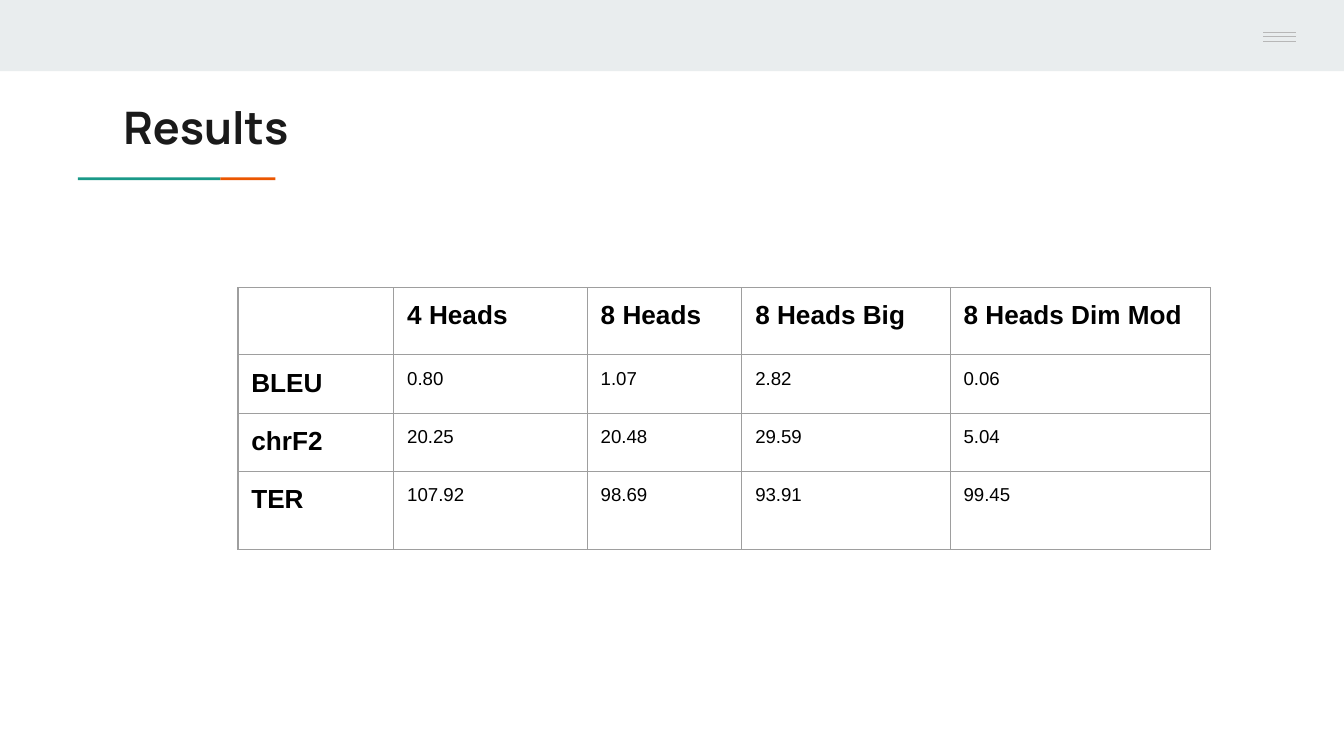
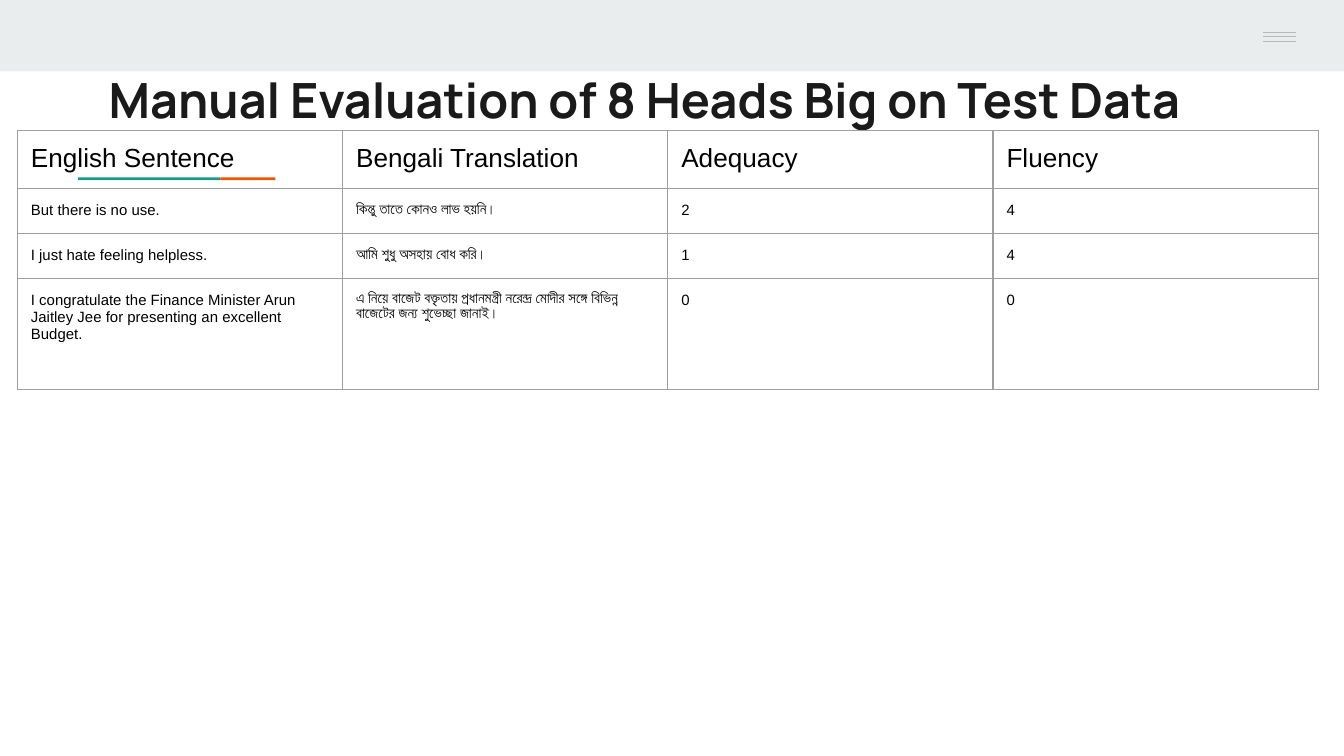
import pptx
import pptx.dml.color
import pptx.enum.shapes
import pptx.enum.text
import pptx.oxml
import pptx.oxml.ns
import pptx.util
import lxml.etree

Inches = pptx.util.Inches
Pt = pptx.util.Pt

BAND = "E9EDEE"
TEAL = "1A9988"
ORANGE = "EB5600"
MENU = "B7B7B7"
INK = "1A1A1A"
BLACK = "000000"
GRID = "9E9E9E"
GRID_FRAME = 3.28

HEADING = {"name": "Arial", "size": Pt(14), "bold": True}
SCORE = {"name": "Arial", "size": Pt(10), "bold": False}
COLUMN_NAME = {"name": "Arial", "size": Pt(14), "bold": False}
SENTENCE = {"name": "Arial", "size": Pt(8), "bold": False}

RESULTS = [
    ["", "4 Heads", "8 Heads", "8 Heads Big", "8 Heads Dim Mod"],
    ["BLEU", "0.80", "1.07", "2.82", "0.06"],
    ["chrF2", "20.25", "20.48", "29.59", "5.04"],
    ["TER", "107.92", "98.69", "93.91", "99.45"],
]
EVALUATION = [
    ["English Sentence", "Bengali Translation", "Adequacy", "Fluency"],
    ["But there is no use.", "কিন্তু তাতে কোনও লাভ হয়নি।", "2", "4"],
    ["I just hate feeling helpless.", "আমি শুধু অসহায় বোধ করি।", "1", "4"],
    [
        "I congratulate the Finance Minister Arun Jaitley Jee for presenting an excellent Budget.",
        "এ নিয়ে বাজেট বক্তৃতায় প্রধানমন্ত্রী নরেন্দ্র মোদীর সঙ্গে বিভিন্ন বাজেটের জন্য শুভেচ্ছা জানাই।",
        "0",
        "0",
    ],
]


def color(value):
    return pptx.dml.color.RGBColor.from_string(value)


def write(paragraph, text, style, ink):
    run = paragraph.add_run()
    run.text = text
    for attribute, value in style.items():
        setattr(run.font, attribute, value)
    run.font.color.rgb = color(ink)


def add_bar(slide, left, top, width, height, fill):
    bar = slide.shapes.add_shape(
        pptx.enum.shapes.MSO_SHAPE.RECTANGLE,
        Inches(left), Inches(top), Inches(width), Inches(height),
    )
    bar.shadow.inherit = False
    bar.fill.solid()
    bar.fill.fore_color.rgb = color(fill)
    bar.line.fill.background()


def add_menu_line(slide, y):
    stroke = slide.shapes.add_connector(
        pptx.enum.shapes.MSO_CONNECTOR.STRAIGHT,
        Inches(9.4), Inches(y), Inches(9.64), Inches(y),
    )
    stroke.line.color.rgb = color(MENU)
    stroke.line.width = Pt(0.75)
    lxml.etree.SubElement(stroke._element.spPr, pptx.oxml.ns.qn("a:effectLst"))


def add_title(slide, text, left, top, width, height, size):
    title = slide.shapes.add_textbox(Inches(left), Inches(top), Inches(width), Inches(height))
    frame = title.text_frame
    layout = {
        "word_wrap": True,
        "vertical_anchor": pptx.enum.text.MSO_ANCHOR.MIDDLE,
        "margin_left": Inches(0.1),
        "margin_right": Inches(0.1),
        "margin_top": Inches(0.1),
        "margin_bottom": Inches(0.1),
    }
    for attribute, value in layout.items():
        setattr(frame, attribute, value)
    style = {"name": "Manrope", "size": Pt(size), "bold": True}
    write(frame.paragraphs[0], text, style, INK)


def add_borders(cell):
    properties = cell._tc.get_or_add_tcPr()
    for position, side in enumerate(("lnL", "lnR", "lnT", "lnB")):
        border = pptx.oxml.parse_xml(
            f'<a:{side} {pptx.oxml.ns.nsdecls("a")} w="{Pt(0.75)}"><a:solidFill>'
            f'<a:srgbClr val="{GRID}"/></a:solidFill></a:{side}>'
        )
        properties.insert(position, border)


def add_grid(slide, rows, left, top, widths, heights, style_at):
    holder = slide.shapes.add_table(
        len(heights), len(widths), Inches(left), Inches(top),
        Inches(GRID_FRAME), Inches(GRID_FRAME),
    )
    grid = holder.table
    grid.first_row = False
    grid.horz_banding = False
    for column, width in zip(grid.columns, widths):
        column.width = Inches(width)
    for row, height in zip(grid.rows, heights):
        row.height = Inches(height)
    holder.width = holder.height = Inches(GRID_FRAME)
    for r, texts in enumerate(rows):
        for c, text in enumerate(texts):
            cell = grid.cell(r, c)
            for side in ("left", "right", "top", "bottom"):
                setattr(cell, f"margin_{side}", Inches(0.1))
            cell.fill.background()
            add_borders(cell)
            if text:
                write(cell.text_frame.paragraphs[0], text, style_at(r, c), BLACK)


def add_base_slide(deck):
    slide = deck.slides.add_slide(deck.slide_layouts[6])
    add_bar(slide, 0, 0, 10, 0.53, BAND)
    add_bar(slide, 0.58, 1.32, 1.06, 0.02, TEAL)
    add_bar(slide, 1.64, 1.32, 0.41, 0.02, ORANGE)
    add_bar(slide, 9.06, 0, 0.94, 0.5, BAND)
    for y in (0.24, 0.27, 0.31):
        add_menu_line(slide, y)
    return slide


def main():
    deck = pptx.Presentation()
    deck.slide_width = Inches(10)
    deck.slide_height = deck.slide_width * 9 // 16

    results = add_base_slide(deck)
    add_title(results, "Results", 0.82, 0.64, 4.64, 0.61, 24)
    add_grid(
        results, RESULTS, 1.77, 2.14,
        [1.16, 1.44, 1.15, 1.55, 1.94], [0.14, 0.39, 0.39, 0.58],
        lambda r, c: SCORE if r and c else HEADING,
    )

    evaluation = add_base_slide(deck)
    add_title(
        evaluation, "Manual Evaluation of 8 Heads Big on Test Data",
        0.71, 0.42, 8.79, 0.63, 26,
    )
    add_grid(
        evaluation, EVALUATION, 0.13, 0.97,
        [2.42] * 4, [0.32, 0.29, 0.29, 0.83],
        lambda r, c: SENTENCE if r else COLUMN_NAME,
    )

    deck.save("out.pptx")


if __name__ == "__main__":
    main()
